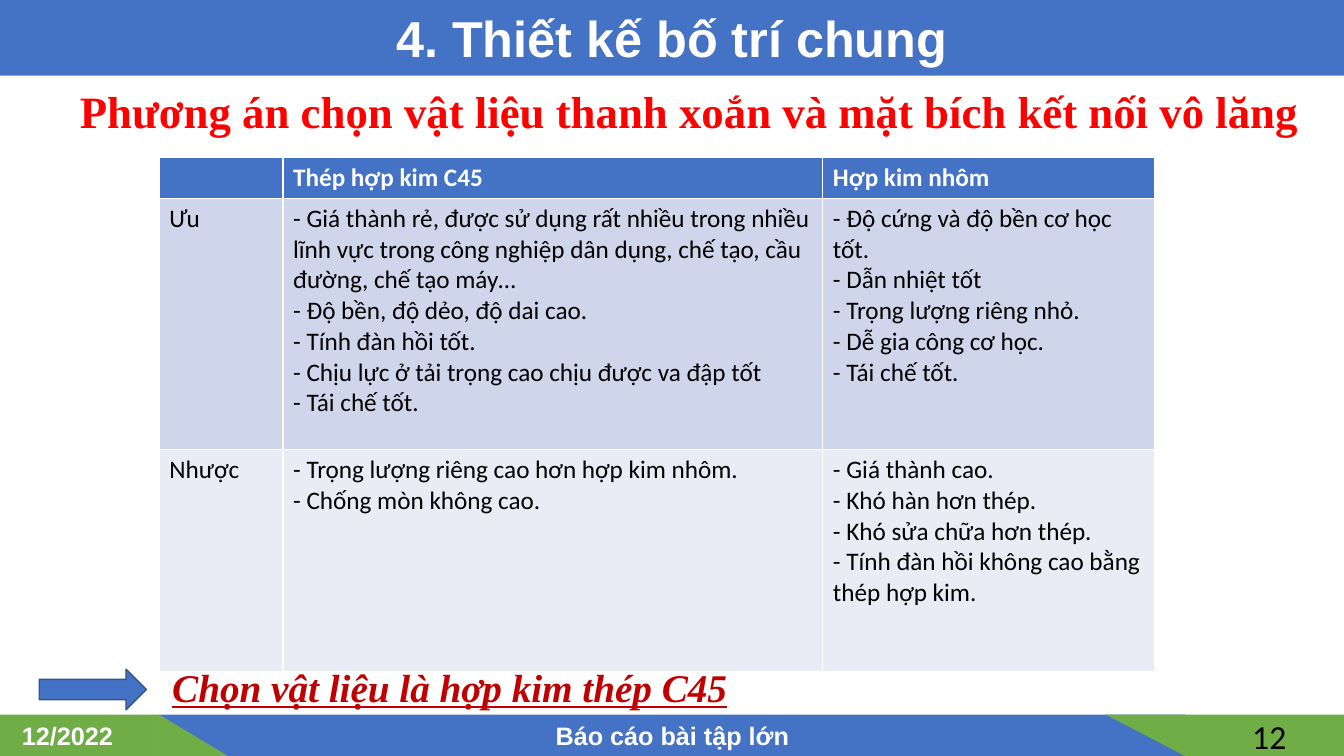
from dataclasses import dataclass

from pptx import Presentation
from pptx.dml.color import RGBColor
from pptx.enum.shapes import MSO_SHAPE
from pptx.enum.text import MSO_ANCHOR, PP_ALIGN
from pptx.util import Pt

RECT = MSO_SHAPE.RECTANGLE
TRIANGLE = MSO_SHAPE.RIGHT_TRIANGLE
ARROW = MSO_SHAPE.RIGHT_ARROW
TOP, MIDDLE = MSO_ANCHOR.TOP, MSO_ANCHOR.MIDDLE
LEFT, CENTER, RIGHT = PP_ALIGN.LEFT, PP_ALIGN.CENTER, PP_ALIGN.RIGHT

BLUE = RGBColor(0x44, 0x72, 0xC4)
DARK_BLUE = RGBColor(0x32, 0x54, 0x91)
GREEN = RGBColor(0x70, 0xAD, 0x47)
BAND_DARK = RGBColor(0xCF, 0xD5, 0xEA)
BAND_LIGHT = RGBColor(0xE9, 0xEB, 0xF5)
WHITE = RGBColor(0xFF, 0xFF, 0xFF)
BLACK = RGBColor(0, 0, 0)
RED = RGBColor(0xFF, 0, 0)
DARK_RED = RGBColor(0xC0, 0, 0)


@dataclass(frozen=True)
class Box:
    left: float
    top: float
    width: float
    height: float

    def emu(self) -> tuple:
        return Pt(self.left), Pt(self.top), Pt(self.width), Pt(self.height)


@dataclass(frozen=True)
class Style:
    font: str
    size: float
    color: RGBColor
    bold: bool = False
    italic: bool = False
    underline: bool = False


@dataclass(frozen=True)
class Block:
    shape: MSO_SHAPE
    box: Box
    fill: RGBColor
    rotation: float = 0


@dataclass(frozen=True)
class Label:
    text: str
    box: Box
    style: Style
    align: PP_ALIGN = LEFT
    anchor: MSO_ANCHOR = MIDDLE
    line_spacing: float = 1.0


@dataclass(frozen=True)
class Row:
    height: float
    fill: RGBColor
    style: Style
    cells: tuple


BAR_TEXT = Style("Arial", 18, WHITE, bold=True)
HEADER = Style("Calibri", 18, WHITE, bold=True)
BODY = Style("Calibri", 18, BLACK)

FOOTER_TOP, FOOTER_H = 510.5, 29.5
FOOTER_BAR = Box(113.8, FOOTER_TOP, 733, FOOTER_H)
TITLE_BAR = Box(0, 0, 960, 54)

BLOCKS = (
    Block(RECT, FOOTER_BAR, BLUE),
    Block(RECT, Box(846.5, FOOTER_TOP, 113.5, FOOTER_H), GREEN),
    Block(TRIANGLE, Box(790, FOOTER_TOP, 56.5, FOOTER_H), GREEN, 180),
    Block(TRIANGLE, Box(113.8, FOOTER_TOP, 49, FOOTER_H), GREEN),
    Block(RECT, Box(0, FOOTER_TOP, 113.8, FOOTER_H), GREEN),
    Block(RECT, TITLE_BAR, BLUE),
)

LABELS = (
    Label("4. Thiết kế bố trí chung", TITLE_BAR,
          Style("Arial", 36, WHITE, bold=True), CENTER),
    Label("Phương án chọn vật liệu thanh xoắn và mặt bích kết nối vô lăng",
          Box(36.5, 60.5, 912, 72), Style("Times New Roman", 32, RED, bold=True),
          CENTER, TOP, 0.9),
    Label("Báo cáo bài tập lớn", FOOTER_BAR, BAR_TEXT, CENTER),
    Label("12/2022", Box(8.6, 511.2, 113.8, 28.8), BAR_TEXT),
    Label("12", Box(858.2, 511.2, 67.7, 28.8), Style("Calibri", 24, BLACK), RIGHT),
    Label("Chọn vật liệu là hợp kim thép C45", Box(115.9, 470.2, 447, 41),
          Style("Times New Roman", 28, DARK_RED, True, True, True), LEFT, TOP),
)

COL_WIDTHS = (88.4, 385.6, 237)
ROWS = (
    Row(28, BLUE, HEADER, ((), ("Thép hợp kim C45",), ("Hợp kim nhôm",))),
    Row(179.5, BAND_DARK, BODY, (
        ("Ưu",),
        ("- Giá thành rẻ, được sử dụng rất nhiều trong nhiều lĩnh vực trong "
         "công nghiệp dân dụng, chế tạo, cầu đường, chế tạo máy…",
         "- Độ bền, độ dẻo, độ dai cao.",
         "- Tính đàn hồi tốt.",
         "- Chịu lực ở tải trọng cao chịu được va đập tốt",
         "- Tái chế tốt."),
        ("- Độ cứng và độ bền cơ học tốt.",
         "- Dẫn nhiệt tốt",
         "- Trọng lượng riêng nhỏ.",
         "- Dễ gia công cơ học.",
         "- Tái chế tốt."))),
    Row(158.5, BAND_LIGHT, BODY, (
        ("Nhược",),
        ("- Trọng lượng riêng cao hơn hợp kim nhôm.",
         "- Chống mòn không cao."),
        ("- Giá thành cao.",
         "- Khó hàn hơn thép.",
         "- Khó sửa chữa hơn thép.",
         "- Tính đàn hồi không cao bằng thép hợp kim."))),
)
TABLE_BOX = Box(113.8, 112.5, sum(COL_WIDTHS), sum(row.height for row in ROWS))


def apply_style(font, style: Style) -> None:
    font.name = style.font
    font.size = Pt(style.size)
    font.color.rgb = style.color
    font.bold = style.bold
    font.italic = style.italic
    font.underline = style.underline


def add_run(p, text: str, style: Style) -> None:
    r = p.add_run()
    r.text = text
    apply_style(r.font, style)


def add_block(s, block: Block):
    sp = s.shapes.add_shape(block.shape, *block.box.emu())
    sp.shadow.inherit = False
    sp.fill.solid()
    sp.fill.fore_color.rgb = block.fill
    sp.line.fill.background()
    sp.rotation = block.rotation
    return sp


def add_label(s, label: Label) -> None:
    tf = s.shapes.add_textbox(*label.box.emu()).text_frame
    tf.word_wrap = True
    tf.vertical_anchor = label.anchor
    p = tf.paragraphs[0]
    p.alignment = label.align
    p.line_spacing = label.line_spacing
    add_run(p, label.text, label.style)


def add_material_table(s) -> None:
    table = s.shapes.add_table(len(ROWS), len(COL_WIDTHS), *TABLE_BOX.emu()).table
    for column, width in zip(table.columns, COL_WIDTHS):
        column.width = Pt(width)
    for i, row in enumerate(ROWS):
        table.rows[i].height = Pt(row.height)
        for j, lines in enumerate(row.cells):
            cell = table.cell(i, j)
            cell.fill.solid()
            cell.fill.fore_color.rgb = row.fill
            tf = cell.text_frame
            apply_style(tf.paragraphs[0].font, row.style)
            for k, line in enumerate(lines):
                p = tf.add_paragraph() if k else tf.paragraphs[0]
                add_run(p, line, row.style)


def main() -> None:
    prs = Presentation()
    prs.slide_width, prs.slide_height = Pt(960), Pt(540)
    s = prs.slides.add_slide(prs.slide_layouts[6])
    for block in BLOCKS:
        add_block(s, block)
    add_material_table(s)
    for label in LABELS:
        add_label(s, label)
    arrow = add_block(s, Block(ARROW, Box(28, 478, 76.5, 29), BLUE))
    arrow.line.color.rgb = DARK_BLUE
    arrow.line.width = Pt(1)
    prs.save("out.pptx")


if __name__ == "__main__":
    main()
